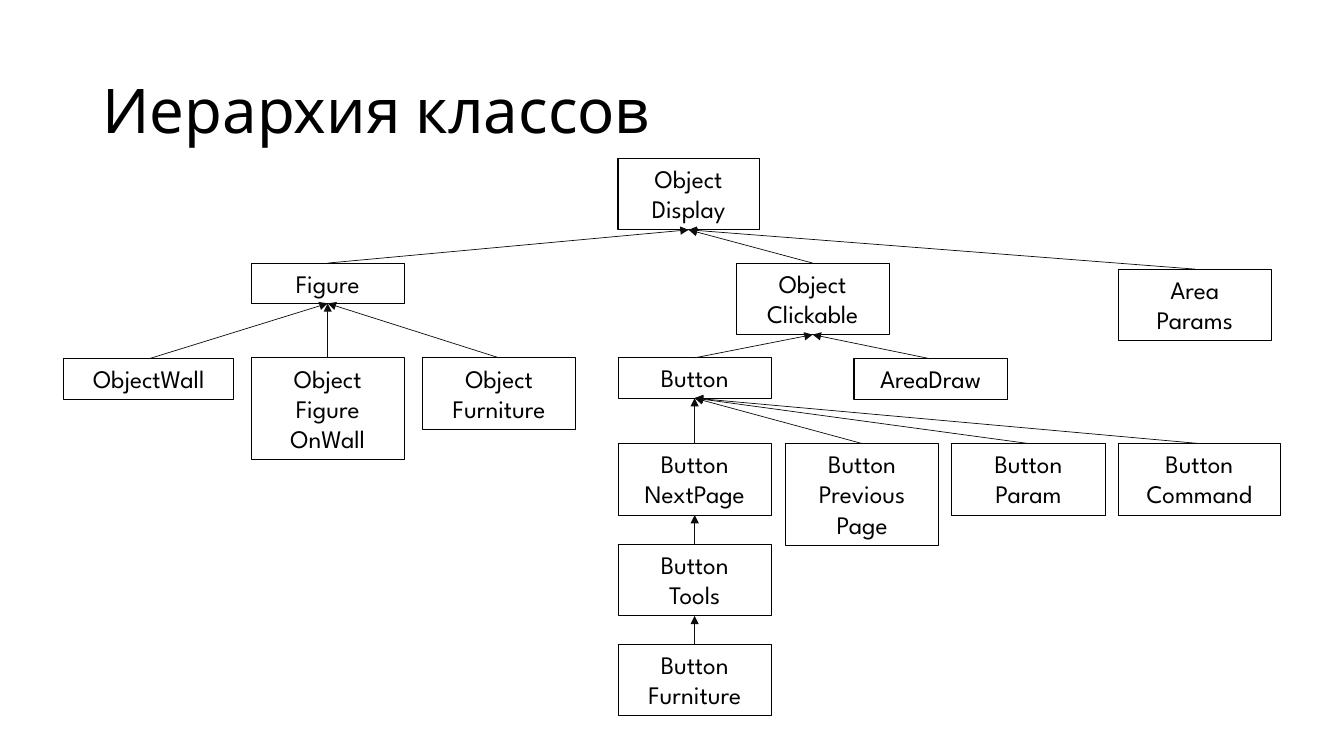
from dataclasses import dataclass

from lxml import etree
from pptx import Presentation
from pptx.dml.color import RGBColor
from pptx.enum.shapes import MSO_CONNECTOR, MSO_SHAPE
from pptx.enum.text import MSO_ANCHOR, MSO_AUTO_SIZE, PP_ALIGN
from pptx.oxml.ns import qn
from pptx.util import Pt

RECT = MSO_SHAPE.RECTANGLE
STRAIGHT = MSO_CONNECTOR.STRAIGHT
TOP, MIDDLE = MSO_ANCHOR.TOP, MSO_ANCHOR.MIDDLE
LEFT, CENTER = PP_ALIGN.LEFT, PP_ALIGN.CENTER
GROW = MSO_AUTO_SIZE.SHAPE_TO_FIT_TEXT
TOP_SITE, BOTTOM_SITE = 0, 2
SCALE = 9144


@dataclass(frozen=True)
class Theme:
    """Colours, font and sizes of the slide."""
    font: str = "League Spartan"
    ink: RGBColor = RGBColor(0x00, 0x00, 0x00)
    arrow: RGBColor = RGBColor(0x0D, 0x0D, 0x0D)
    title: int = 44
    body: int = 18
    border: float = 0.75
    link: float = 0.5


def px(*lengths):
    """Turn px into EMU."""
    return [length * SCALE for length in lengths]


class Canvas:
    """Draws styled elements on one slide."""

    def __init__(self, slide, theme):
        """Keep the slide and its theme."""
        self.shapes = slide.shapes
        self.theme = theme

    def label(self, frame, text, size, align, anchor):
        """Fill a text frame, one paragraph a line."""
        frame.text = text
        frame.word_wrap = True
        frame.vertical_anchor = anchor
        for para in frame.paragraphs:
            para.alignment = align
            para.font.name = self.theme.font
            para.font.size = Pt(size)
            para.font.color.rgb = self.theme.ink

    def title(self, text, x, y, w, h):
        """Add the slide title."""
        frame = self.shapes.add_textbox(*px(x, y, w, h)).text_frame
        self.label(frame, text, self.theme.title, LEFT, MIDDLE)
        frame.paragraphs[0].line_spacing = 0.9

    def box(self, text, x, y, w):
        """Add a class box as tall as its lines need."""
        rows = text.count("\n") + 1
        h = round(10.1 + 30.3 * rows)
        shape = self.shapes.add_shape(RECT, *px(x, y, w, h))
        shape.shadow.inherit = False
        shape.fill.background()
        shape.line.color.rgb = self.theme.ink
        shape.line.width = Pt(self.theme.border)
        self.label(shape.text_frame, text, self.theme.body, CENTER, TOP)
        shape.text_frame.auto_size = GROW
        return shape

    def arrow(self, child, parent):
        """Point from a child box to its parent box."""
        link = self.shapes.add_connector(STRAIGHT, 0, 0, 0, 0)
        link.begin_connect(child, TOP_SITE)
        link.end_connect(parent, BOTTOM_SITE)
        link.line.color.rgb = self.theme.arrow
        link.line.width = Pt(self.theme.link)
        props = link._element.spPr
        etree.SubElement(props.find(qn("a:ln")), qn("a:tailEnd"), type="triangle")
        etree.SubElement(props, qn("a:effectLst"))


WIDTH = 152
CLASSES = [
    ("Object\nDisplay", None, 613, 157, 140),
    ("Figure", "Object\nDisplay", 249, 261, WIDTH),
    ("Object\nClickable", "Object\nDisplay", 730, 261, WIDTH),
    ("Area\nParams", "Object\nDisplay", 1109, 267, WIDTH),
    ("ObjectWall", "Figure", 63, 356, 169),
    ("Object\nFigure\nOnWall", "Figure", 249, 355, WIDTH),
    ("Object\nFurniture", "Figure", 419, 355, WIDTH),
    ("Button", "Object\nClickable", 613, 355, WIDTH),
    ("AreaDraw", "Object\nClickable", 847, 356, WIDTH),
    ("Button\nNextPage", "Button", 613, 440, WIDTH),
    ("Button\nPrevious\nPage", "Button", 779, 440, WIDTH),
    ("Button\nParam", "Button", 944, 440, WIDTH),
    ("Button\nCommand", "Button", 1109, 440, 161),
    ("Button\nTools", "Button\nNextPage", 613, 540, WIDTH),
    ("Button\nFurniture", "Button\nTools", 613, 639, WIDTH),
]


def main():
    """Build and save the class hierarchy slide."""
    deck = Presentation()
    deck.slide_width, deck.slide_height = px(1333, 750)
    canvas = Canvas(deck.slides.add_slide(deck.slide_layouts[6]), Theme())
    canvas.title("Иерархия классов", 92, 40, 1150, 145)
    boxes = {name: canvas.box(name, x, y, w) for name, _, x, y, w in CLASSES}
    for name, parent, *_ in CLASSES:
        if parent:
            canvas.arrow(boxes[name], boxes[parent])
    deck.save("out.pptx")


if __name__ == "__main__":
    main()
